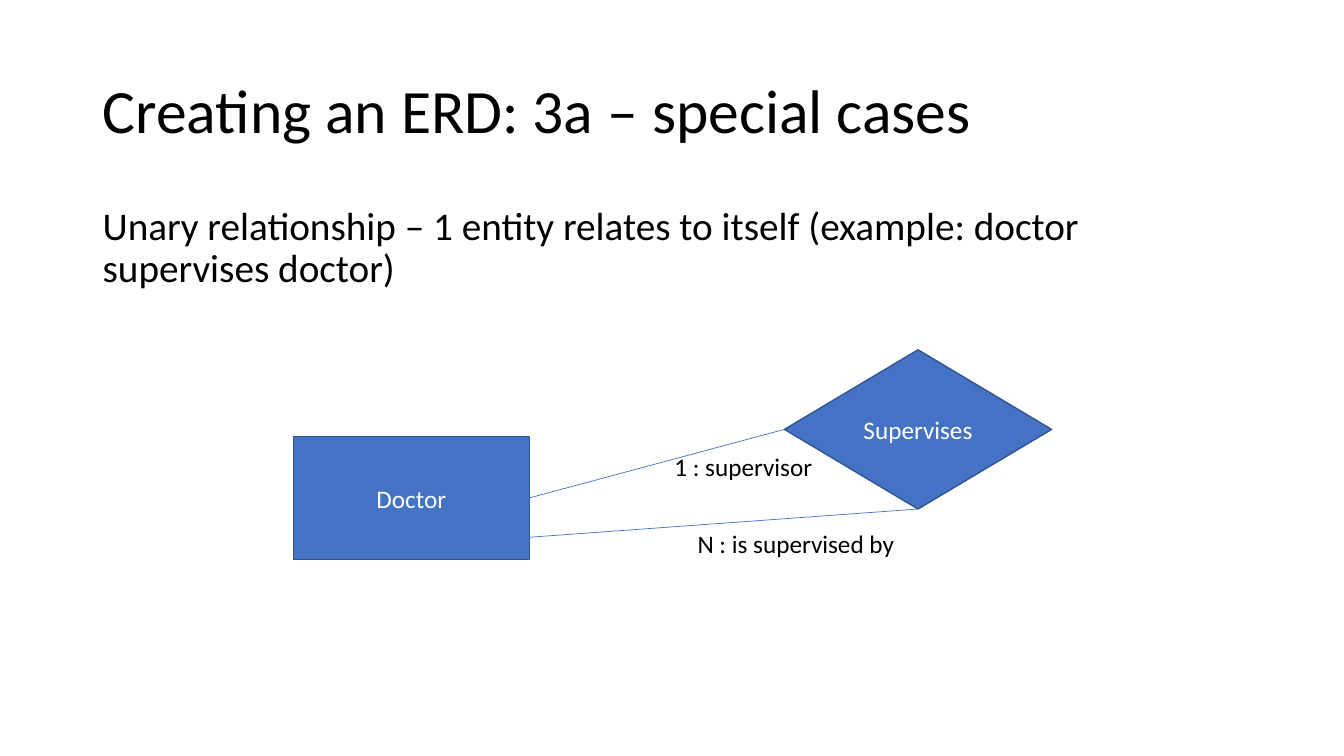
from lxml import etree
from pptx import Presentation
from pptx.dml.color import RGBColor
from pptx.enum.shapes import MSO_CONNECTOR, MSO_SHAPE
from pptx.enum.text import MSO_ANCHOR, PP_ALIGN
from pptx.oxml.ns import qn
from pptx.util import Inches, Pt

RECTANGLE, DECISION = MSO_SHAPE.RECTANGLE, MSO_SHAPE.FLOWCHART_DECISION
STRAIGHT = MSO_CONNECTOR.STRAIGHT
TOP, MIDDLE = MSO_ANCHOR.TOP, MSO_ANCHOR.MIDDLE
CENTER = PP_ALIGN.CENTER
BLACK = RGBColor(0x00, 0x00, 0x00)
WHITE = RGBColor(0xFF, 0xFF, 0xFF)
BLUE = RGBColor(0x44, 0x72, 0xC4)
DARK_BLUE = RGBColor(0x32, 0x54, 0x91)
FONT = "Calibri"
LEFT_SITE, BOTTOM_SITE, RIGHT_SITE = 1, 2, 3

HEADINGS = [
    ("Creating an ERD: 3a – special cases", (0.92, 0.4, 11.5, 1.45), 44, MIDDLE, 0),
    ("Unary relationship – 1 entity relates to itself (example: doctor supervises doctor)",
     (0.92, 2, 11.5, 1.19), 28, TOP, 10),
]
ENTITY = ("Doctor", RECTANGLE, (2.91, 4.33, 2.34, 1.22))
RELATIONSHIP = ("Supervises", DECISION, (7.78, 3.47, 2.65, 1.58))
SUPERVISED_START = (5.25, 5.33)
ROLES = [
    ("1 : supervisor", (6.59, 4.43, 1.59, 0.4)),
    ("N : is supervised by", (6.82, 5.19, 2.18, 0.4)),
]

prs = Presentation()
prs.slide_width, prs.slide_height = Inches(13.33), Inches(7.5)
slide = prs.slides.add_slide(prs.slide_layouts[6])


def write(holder, text, size, color):
    paragraph = holder.text_frame.paragraphs[0]
    paragraph.text = text
    paragraph.font.name = FONT
    paragraph.font.size = Pt(size)
    paragraph.font.color.rgb = color
    return paragraph


def add_text(text, box, size, wrap):
    holder = slide.shapes.add_textbox(*map(Inches, box))
    holder.text_frame.word_wrap = wrap
    return holder, write(holder, text, size, BLACK)


def add_node(text, outline, box):
    node = slide.shapes.add_shape(outline, *map(Inches, box))
    node.shadow.inherit = False
    node.fill.solid()
    node.fill.fore_color.rgb = BLUE
    node.line.color.rgb = DARK_BLUE
    node.line.width = Pt(1)
    node.text_frame.vertical_anchor = MIDDLE
    write(node, text, 18, WHITE).alignment = CENTER
    return node


def add_link(start=(0, 0)):
    x, y = map(Inches, start)
    link = slide.shapes.add_connector(STRAIGHT, x, y, x, y)
    link.line.color.rgb = BLUE
    link.line.width = Pt(0.5)
    etree.SubElement(link._element.spPr, qn("a:effectLst"))
    return link


for text, box, size, anchor, space_before in HEADINGS:
    heading, paragraph = add_text(text, box, size, True)
    heading.text_frame.vertical_anchor = anchor
    paragraph.line_spacing = 0.9
    paragraph.space_before = Pt(space_before)

doctor = add_node(*ENTITY)
supervises = add_node(*RELATIONSHIP)

supervisor_link = add_link()
supervisor_link.begin_connect(doctor, RIGHT_SITE)
supervisor_link.end_connect(supervises, LEFT_SITE)
supervised_link = add_link(SUPERVISED_START)
supervised_link.end_connect(supervises, BOTTOM_SITE)

for text, box in ROLES:
    add_text(text, box, 18, False)

prs.save("out.pptx")
